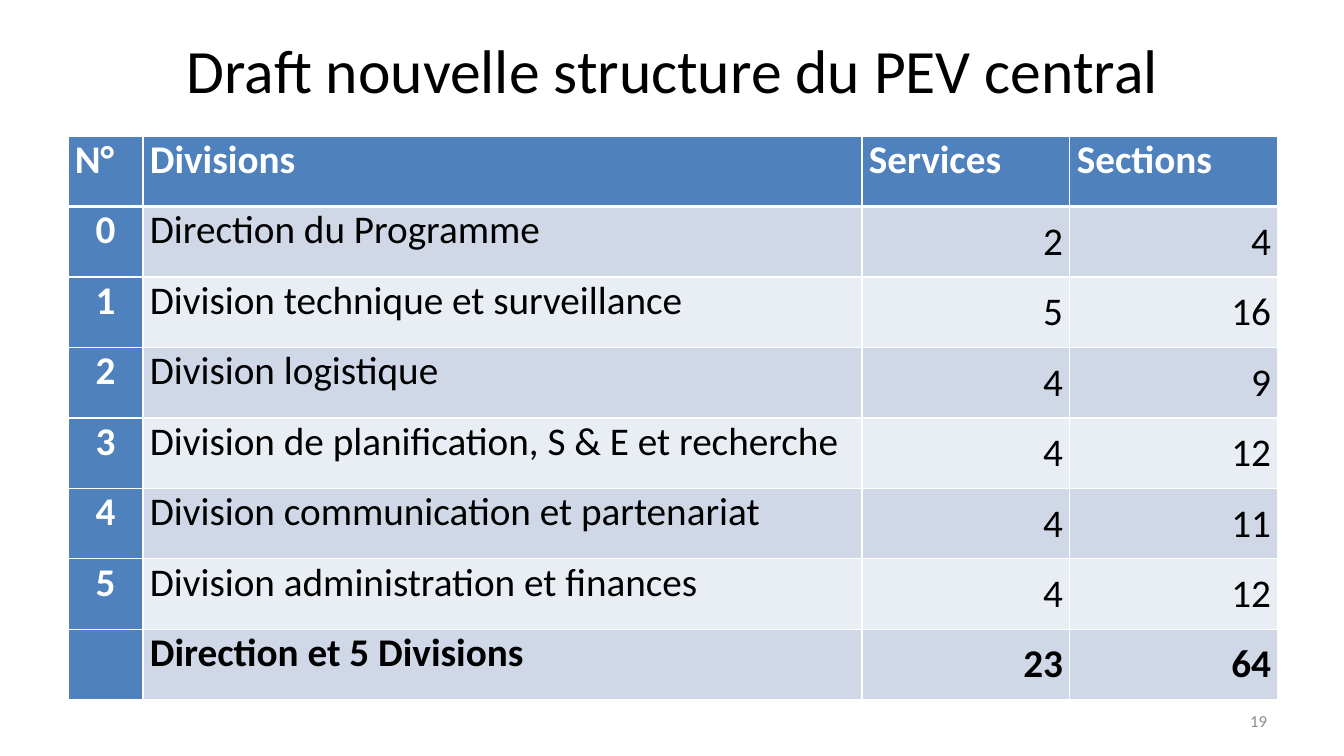
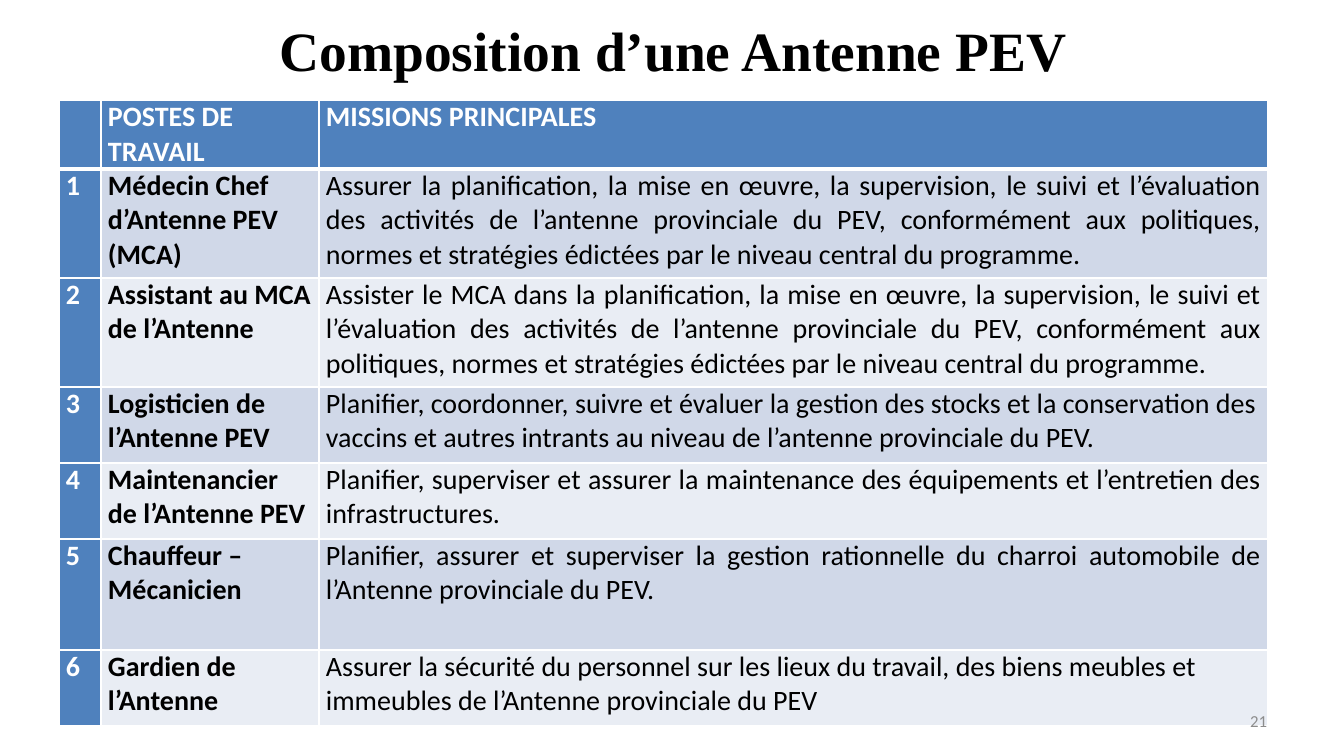
from lxml import etree
from pptx import Presentation
from pptx.dml.color import RGBColor
from pptx.enum.text import MSO_ANCHOR, MSO_AUTO_SIZE, PP_ALIGN
from pptx.oxml.ns import qn
from pptx.util import Emu, Pt

LEFT, CENTER, RIGHT, JUSTIFY = PP_ALIGN.LEFT, PP_ALIGN.CENTER, PP_ALIGN.RIGHT, PP_ALIGN.JUSTIFY
TOP, MIDDLE = MSO_ANCHOR.TOP, MSO_ANCHOR.MIDDLE
NO_AUTOFIT = MSO_AUTO_SIZE.NONE

SLIDE_SIZE = (1344, 756)
EMU_PER_PX = 12192000 / SLIDE_SIZE[0]
TITLE_ONLY = 5

THEME = {
    "font": "Calibri",
    "ink": "000000",
    "paper": "FFFFFF",
    "header": "4F81BD",
    "bands": ("D0D8E8", "E9EDF4"),
    "number": {"size": 12, "color": "8C8C8C"},
    "rule": 1,
    "header_rule": 3,
    "cell_inset": 7,
}
NUMBER_BOX = (964, 701, 313, 40)

STRUCTURE = {
    "title": "Draft nouvelle structure du PEV central",
    "title_box": (68, 25, 1210, 88),
    "title_style": {"size": 44},
    "number": "19",
    "origin": (68, 136),
    "row_heights": [564 / 8] * 8,
    "size": 28,
    "space_after": 0,
    "columns": [
        {"width": 75, "align": CENTER},
        {"width": 719},
        {"width": 208, "align": RIGHT, "anchor": MIDDLE},
        {"width": 208, "align": RIGHT, "anchor": MIDDLE},
    ],
    "bold_rows": {7},
    "justified": set(),
    "rows": [
        ("N°", "Divisions", "Services", "Sections"),
        ("0", "Direction du Programme", "2", "4"),
        ("1", "Division technique et surveillance", "5", "16"),
        ("2", "Division logistique", "4", "9"),
        ("3", "Division de planification, S & E et recherche", "4", "12"),
        ("4", "Division communication et partenariat", "4", "11"),
        ("5", "Division administration et finances", "4", "12"),
        ("", "Direction et 5 Divisions", "23", "64"),
    ],
}

ANTENNE = {
    "title": "Composition d’une Antenne PEV",
    "title_box": (68, 18, 1210, 63),
    "title_style": {"size": 39.6, "font": "Times New Roman", "bold": True},
    "number": "21",
    "origin": (59, 100),
    "row_heights": [69, 109, 109, 76, 76, 111, 76],
    "size": 20,
    "space_after": 8,
    "columns": [{"width": 42}, {"width": 218, "bold": True}, {"width": 949}],
    "bold_rows": set(),
    "justified": {(1, 2), (2, 2), (4, 2), (5, 2)},
    "rows": [
        ("", "POSTES DE TRAVAIL", "MISSIONS PRINCIPALES"),
        ("1", "Médecin Chef d’Antenne PEV (MCA)",
         "Assurer la planification, la mise en œuvre, la supervision, le suivi et l’évaluation "
         "des activités de l’antenne provinciale du PEV, conformément aux politiques, normes et "
         "stratégies édictées par le niveau central du programme."),
        ("2", "Assistant au MCA de l’Antenne",
         "Assister le MCA dans la planification, la mise en œuvre, la supervision, le suivi et "
         "l’évaluation des activités de l’antenne provinciale du PEV, conformément aux politiques, "
         "normes et stratégies édictées par le niveau central du programme."),
        ("3", "Logisticien de l’Antenne PEV",
         "Planifier, coordonner, suivre et évaluer la gestion des stocks et la conservation des "
         "vaccins et autres intrants au niveau de l’antenne provinciale du PEV."),
        ("4", "Maintenancier de l’Antenne PEV",
         "Planifier, superviser et assurer la maintenance des équipements et l’entretien des "
         "infrastructures."),
        ("5", "Chauffeur – Mécanicien",
         "Planifier, assurer et superviser la gestion rationnelle du charroi automobile de "
         "l’Antenne provinciale du PEV."),
        ("6", "Gardien de l’Antenne",
         "Assurer la sécurité du personnel sur les lieux du travail, des biens meubles et "
         "immeubles de l’Antenne provinciale du PEV"),
    ],
}


def px(length):
    return Emu(round(length * EMU_PER_PX))


def apply(target, values):
    for name, value in values.items():
        setattr(target, name, value)


def write(frame, text, size, color=THEME["ink"], font=THEME["font"], bold=False,
          align=LEFT, space_after=0):
    paragraph = frame.paragraphs[0]
    apply(paragraph, {"alignment": align, "space_before": Pt(0), "space_after": Pt(space_after)})
    if text:
        run = paragraph.add_run()
        run.text = text
        apply(run.font, {"name": font, "size": Pt(size), "bold": bold})
        run.font.color.rgb = RGBColor.from_string(color)
    else:
        paragraph.font.size = Pt(size)


def rule_cell(cell, row):
    properties = cell._tc.get_or_add_tcPr()
    widths = {
        "a:lnL": THEME["rule"],
        "a:lnR": THEME["rule"],
        "a:lnT": THEME["header_rule"] if row == 1 else THEME["rule"],
        "a:lnB": THEME["header_rule"] if row == 0 else THEME["rule"],
    }
    for position, (side, width) in enumerate(widths.items()):
        line = etree.Element(qn(side), w=str(Pt(width)))
        fill = etree.SubElement(line, qn("a:solidFill"))
        etree.SubElement(fill, qn("a:srgbClr"), val=THEME["paper"])
        properties.insert(position, line)


def add_title(slide, content):
    title = slide.shapes.title
    apply(title, dict(zip(("left", "top", "width", "height"), map(px, content["title_box"]))))
    apply(title.text_frame, {"word_wrap": True, "auto_size": NO_AUTOFIT, "vertical_anchor": MIDDLE})
    write(title.text_frame, content["title"], align=CENTER, **content["title_style"])


def add_number(slide, number):
    frame = slide.shapes.add_textbox(*map(px, NUMBER_BOX)).text_frame
    apply(frame, {"word_wrap": True, "vertical_anchor": MIDDLE})
    write(frame, number, align=RIGHT, **THEME["number"])


def add_grid(slide, content):
    rows, columns, heights = content["rows"], content["columns"], content["row_heights"]
    size = (sum(column["width"] for column in columns), sum(heights))
    grid = slide.shapes.add_table(
        len(rows), len(columns), *map(px, content["origin"] + size)).table
    apply(grid, {"first_row": True, "first_col": True, "horz_banding": True})
    for grid_column, column in zip(grid.columns, columns):
        grid_column.width = px(column["width"])
    for grid_row, height in zip(grid.rows, heights):
        grid_row.height = px(height)
    inset = px(THEME["cell_inset"])
    for r, row in enumerate(rows):
        for c, (text, column) in enumerate(zip(row, columns)):
            cell = grid.cell(r, c)
            is_header = r == 0 or c == 0
            align = LEFT if r == 0 else column.get("align", LEFT)
            apply(cell, {
                "margin_left": inset, "margin_right": inset, "margin_top": 0, "margin_bottom": 0,
                "vertical_anchor": TOP if r == 0 else column.get("anchor", TOP),
            })
            cell.fill.solid()
            cell.fill.fore_color.rgb = RGBColor.from_string(
                THEME["header"] if is_header else THEME["bands"][(r - 1) % 2])
            rule_cell(cell, r)
            write(cell.text_frame, text, content["size"],
                  color=THEME["paper"] if is_header else THEME["ink"],
                  bold=is_header or r in content["bold_rows"] or column.get("bold", False),
                  align=JUSTIFY if (r, c) in content["justified"] else align,
                  space_after=content["space_after"])


def main():
    deck = Presentation()
    deck.slide_width, deck.slide_height = map(px, SLIDE_SIZE)
    for content in (STRUCTURE, ANTENNE):
        slide = deck.slides.add_slide(deck.slide_layouts[TITLE_ONLY])
        add_title(slide, content)
        add_grid(slide, content)
        add_number(slide, content["number"])
    deck.save("out.pptx")


if __name__ == "__main__":
    main()
